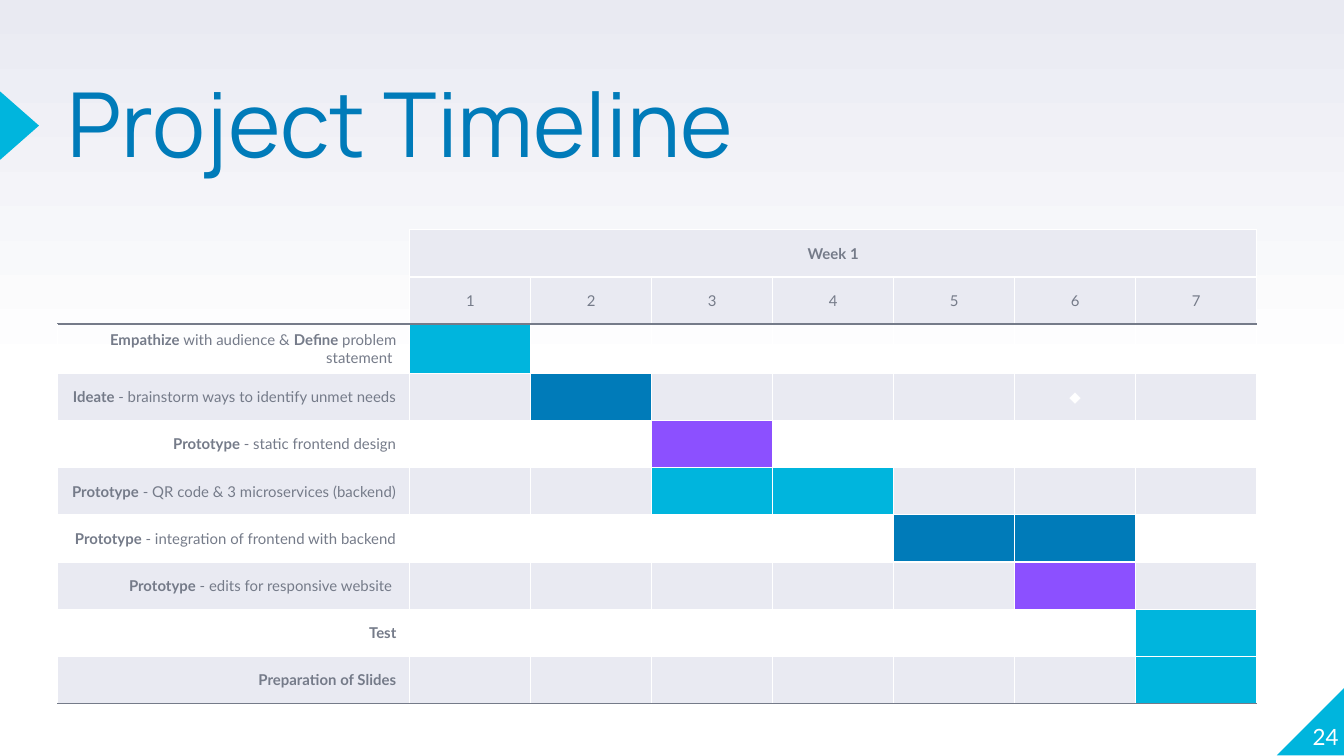
import copy
import dataclasses

import lxml.etree
import pptx
import pptx.dml.color
import pptx.enum.shapes
import pptx.enum.text
import pptx.oxml.ns
import pptx.util

ALIGN = pptx.enum.text.PP_ALIGN
ANCHOR = pptx.enum.text.MSO_ANCHOR
SHAPE = pptx.enum.shapes.MSO_SHAPE
qn = pptx.oxml.ns.qn


@dataclasses.dataclass(frozen=True)
class Theme:
    """Colours, fonts and type sizes of the deck."""
    white: str = "FFFFFF"
    band: str = "E9EAF2"
    grey: str = "757B89"
    cyan: str = "00B5DD"
    blue: str = "007BB9"
    violet: str = "8C50FF"
    heading: str = "Manrope"
    body: str = "Lato"
    title_size: int = 48
    number_size: int = 12
    table_size: int = 8
    rule: float = 0.75


class TimelineSlide:
    """Draws elements on one slide, placed on a grid of tenths of an inch."""

    def __init__(self, deck, theme):
        self.theme = theme
        self.cell_size = deck.slide_width / 100
        self.page = deck.slides.add_slide(deck.slide_layouts[5])

    def grid(self, *lengths):
        return [pptx.util.Emu(round(length * self.cell_size)) for length in lengths]

    def rgb(self, colour):
        return pptx.dml.color.RGBColor.from_string(colour)

    def format(self, span, size, colour, font, bold=False):
        span.font.size = pptx.util.Pt(size)
        span.font.name = font
        span.font.bold = bold
        span.font.color.rgb = self.rgb(colour)

    def background(self):
        fill = self.page.background.fill
        fill.gradient()
        fill.gradient_angle = 90
        stops = self.page.element.find(".//" + qn("a:gsLst"))
        stops.append(copy.deepcopy(stops[-1]))
        colours = (self.theme.white, self.theme.white, self.theme.band)
        for stop, position, colour in zip(fill.gradient_stops, (0, 0.5, 1), colours):
            stop.position = position
            stop.color.rgb = self.rgb(colour)

    def frame(self, box, anchor):
        frame = box.text_frame
        frame.word_wrap = True
        frame.auto_size = pptx.enum.text.MSO_AUTO_SIZE.NONE
        frame.vertical_anchor = anchor
        frame.margin_left = frame.margin_right = frame.margin_top = frame.margin_bottom = 0
        return frame

    def title(self, text, place):
        box = self.page.shapes.title
        box.left, box.top, box.width, box.height = self.grid(*place)
        frame = self.frame(box, ANCHOR.TOP)
        frame.text = text
        para = frame.paragraphs[0]
        para.alignment = ALIGN.LEFT
        para.line_spacing = 0.8
        self.format(para.runs[0], self.theme.title_size, self.theme.blue, self.theme.heading)

    def shape(self, kind, place, rotation):
        shape = self.page.shapes.add_shape(kind, *self.grid(*place))
        shape.rotation = rotation
        shape.shadow.inherit = False
        shape.fill.solid()
        shape.fill.fore_color.rgb = self.rgb(self.theme.cyan)
        shape.line.fill.background()

    def number(self, text, place):
        box = self.page.shapes.add_textbox(*self.grid(*place))
        frame = self.frame(box, ANCHOR.BOTTOM)
        frame.text = text
        para = frame.paragraphs[0]
        para.alignment = ALIGN.RIGHT
        self.format(para.runs[0], self.theme.number_size, self.theme.white, self.theme.body)

    def borders(self, cell, colours):
        properties = cell._tc.get_or_add_tcPr()
        for side, colour in zip("LRTB", colours):
            width = str(pptx.util.Pt(self.theme.rule))
            line = lxml.etree.SubElement(properties, qn("a:ln" + side), w=width)
            if colour:
                solid = lxml.etree.SubElement(line, qn("a:solidFill"))
                lxml.etree.SubElement(solid, qn("a:srgbClr"), val=colour)
            else:
                lxml.etree.SubElement(line, qn("a:noFill"))

    def cell(self, cell, spans, align, colour):
        cell.vertical_anchor = ANCHOR.MIDDLE
        para = cell.text_frame.paragraphs[0]
        para.alignment = align
        for text, bold in spans:
            span = para.add_run()
            span.text = text
            self.format(span, self.theme.table_size, colour, self.theme.body, bold)
        if not spans:
            size = str(self.theme.table_size * 100)
            lxml.etree.SubElement(para._p, qn("a:endParaRPr"), sz=size)

    def timeline(self, heading, days, tasks, milestone, place, label_width):
        """Fills a table with one row per task and one column per day."""
        theme = self.theme
        count = len(tasks) + 2
        table = self.page.shapes.add_table(count, days + 1, *self.grid(*place)).table
        table.first_row = table.horz_banding = False
        table.columns[0].width, day_width = self.grid(label_width, (place[2] - label_width) / days)
        for column in range(1, days + 1):
            table.columns[column].width = day_width
        table.cell(0, 1).merge(table.cell(0, days))
        for row in range(count):
            spans, bar, colour = tasks[row - 2] if row > 1 else ((), (), None)
            for column in range(days + 1):
                cell = table.cell(row, column)
                corner = row < 2 and column == 0
                edge = None if corner else theme.white
                top = theme.grey if row == 2 else edge
                bottom = theme.grey if row in (1, count - 1) else edge
                self.borders(cell, (edge, theme.white, top, bottom))

                shaded = not corner and (row < 2 or row % 2)
                fill = colour if column in bar else theme.band if shaded else None
                if fill:
                    cell.fill.solid()
                    cell.fill.fore_color.rgb = self.rgb(fill)
                else:
                    cell.fill.background()

                if column == 0:
                    self.cell(cell, spans, ALIGN.RIGHT, theme.grey)
                elif row == 0:
                    self.cell(cell, [(heading, True)] if column == 1 else (), ALIGN.CENTER, theme.grey)
                elif row == 1:
                    self.cell(cell, [(str(column), False)], ALIGN.CENTER, theme.grey)
                else:
                    mark = [("◆", False)] if (row - 2, column) == milestone else ()
                    self.cell(cell, mark, ALIGN.CENTER, theme.white)


def prototype(detail):
    """Gives the label spans of a prototype task."""
    return [("Prototype ", True), (detail, False)]


def main():
    """Builds the project timeline slide."""
    deck = pptx.Presentation()
    deck.slide_width = pptx.util.Inches(10)
    deck.slide_height = pptx.util.Inches(10 * 9 / 16)
    theme = Theme()
    slide = TimelineSlide(deck, theme)
    slide.background()
    slide.shape(SHAPE.RIGHT_TRIANGLE, (95, 51.1, 5.1, 5.1), 270)
    slide.shape(SHAPE.ISOSCELES_TRIANGLE, (-1.1, 7.9, 5.1, 2.9), 90)
    slide.title("Project Timeline", (5, 6.6, 61.7, 11.8))
    slide.number("24", (94.6, 50.7, 5, 5.1))
    empathize = [("Empathize ", True), ("with audience & ", False),
                 ("Define ", True), ("problem statement ", False)]
    ideate = [("Ideate ", True), ("- brainstorm ways to identify unmet needs", False)]
    tasks = [
        (empathize, [1], theme.cyan),
        (ideate, [2], theme.blue),
        (prototype("- static frontend design"), [3], theme.violet),
        (prototype("- QR code & 3 microservices (backend)"), [3, 4], theme.cyan),
        (prototype("- integration of frontend with backend"), [5, 6], theme.blue),
        (prototype("- edits for responsive website "), [6], theme.violet),
        ([("Test", True)], [7], theme.cyan),
        ([("Preparation of Slides", True)], [7], theme.cyan),
    ]
    slide.timeline("Week 1", 7, tasks, (1, 6), (4.3, 17.1, 89.2, 35.1), 26.2)
    deck.save("out.pptx")


if __name__ == "__main__":
    main()
